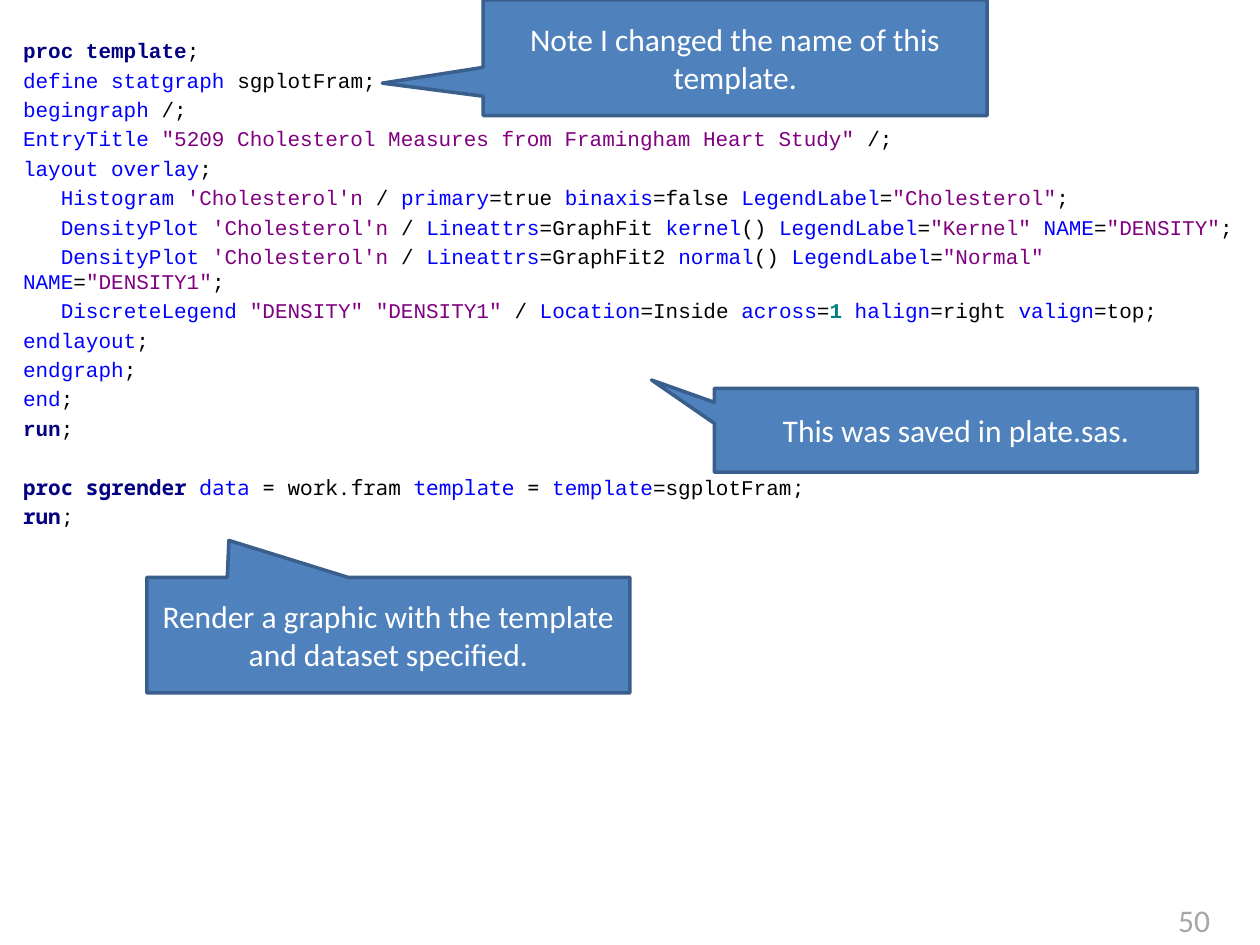
from pptx import Presentation
from pptx.dml.color import RGBColor
from pptx.enum.shapes import MSO_SHAPE
from pptx.enum.text import MSO_ANCHOR, MSO_AUTO_SIZE, PP_ALIGN
from pptx.oxml.ns import qn
from pptx.util import Cm, Pt

CALLOUT = MSO_SHAPE.RECTANGULAR_CALLOUT
MIDDLE = MSO_ANCHOR.MIDDLE
FIXED = MSO_AUTO_SIZE.NONE
CENTER = PP_ALIGN.CENTER

NAVY = RGBColor(0x00, 0x00, 0x80)
BLUE = RGBColor(0x00, 0x00, 0xFF)
PURPLE = RGBColor(0x80, 0x00, 0x80)
TEAL = RGBColor(0x00, 0x80, 0x80)
BLACK = RGBColor(0x00, 0x00, 0x00)
WHITE = RGBColor(0xFF, 0xFF, 0xFF)
GRAY = RGBColor(0xA6, 0xA6, 0xA6)
FILL = RGBColor(0x4F, 0x81, 0xBD)
EDGE = RGBColor(0x3A, 0x5F, 0x8C)

SANS, COURIER, MONO = "Calibri", "Courier New", "Noto Sans Mono"
BOLD = (NAVY, TEAL)
LINE, GAP = Pt(14.3), Pt(2.5)


def plot(fit, kind, label, name):
    return [
        (BLACK, "   "), (BLUE, "DensityPlot "), (PURPLE, "'Cholesterol'n"),
        (BLACK, " / "), (BLUE, "Lineattrs"), (BLACK, f"={fit} "),
        (BLUE, kind), (BLACK, "() "), (BLUE, "LegendLabel"), (BLACK, "="),
        (PURPLE, f'"{label}" '), (BLUE, "NAME"), (BLACK, "="),
        (PURPLE, f'"{name}"'), (BLACK, ";"),
    ]


# Each line is a list of (colour, text) parts.
DEFINE = [
    [(NAVY, "proc template"), (BLACK, ";")],
    [(BLUE, "define statgraph "), (BLACK, "sgplotFram;")],
    [(BLUE, "begingraph"), (BLACK, " /;")],
    [(BLUE, "EntryTitle "),
     (PURPLE, '"5209 Cholesterol Measures from Framingham Heart Study"'),
     (BLACK, " /;")],
    [(BLUE, "layout overlay"), (BLACK, ";")],
    [(BLACK, "   "), (BLUE, "Histogram "), (PURPLE, "'Cholesterol'n"),
     (BLACK, " / "), (BLUE, "primary"), (BLACK, "=true "),
     (BLUE, "binaxis"), (BLACK, "=false "), (BLUE, "LegendLabel"),
     (BLACK, "="), (PURPLE, '"Cholesterol"'), (BLACK, ";")],
    plot("GraphFit", "kernel", "Kernel", "DENSITY"),
    plot("GraphFit2", "normal", "Normal", "DENSITY1"),
    [(BLACK, "   "), (BLUE, "DiscreteLegend "),
     (PURPLE, '"DENSITY" "DENSITY1"'), (BLACK, " / "),
     (BLUE, "Location"), (BLACK, "=Inside "), (BLUE, "across"),
     (BLACK, "="), (TEAL, "1 "), (BLUE, "halign"), (BLACK, "=right "),
     (BLUE, "valign"), (BLACK, "=top;")],
    [(BLUE, "endlayout"), (BLACK, ";")],
    [(BLUE, "endgraph"), (BLACK, ";")],
    [(BLUE, "end"), (BLACK, ";")],
    [(NAVY, "run"), (BLACK, ";")],
]
# A third item in a part overrides the block's font.
RENDER = [
    [(NAVY, "proc sgrender "), (BLUE, "data"), (BLACK, " = work.fram "),
     (BLUE, "template"), (BLACK, " = "), (BLUE, "template", COURIER),
     (BLACK, "=sgplotFram", COURIER), (BLACK, ";")],
    [(NAVY, "run"), (BLACK, ";")],
]
# Text, (left, top, width, height) in cm, pointer offset from the centre
NOTES = [
    ("This was saved in plate.sas.",
     (14.4, 7.83, 9.74, 1.69), (-0.63, -0.6)),
    ("Render a graphic with the template and dataset specified.",
     (2.96, 11.64, 9.74, 2.33), (-0.33, -0.82)),
    ("Note I changed the name of this template.",
     (9.74, 0, 10.16, 2.33), (-0.7, 0.22)),
]
NUMBER = ("50", (23.5, 18.03, 1.9, 1.02))


def style(run, face, size, color, bold=False):
    font = run.font
    font.name, font.size, font.bold = face, Pt(size), bold
    font.color.rgb = color


def add_code(frame, lines, face, first):
    """Add coloured lines, with the given space before the first one."""
    for i, parts in enumerate(lines):
        fresh = not frame.paragraphs[0].runs
        para = frame.paragraphs[0] if fresh else frame.add_paragraph()
        para.space_before = GAP if i else first
        para.line_spacing = LINE
        props = para._p.get_or_add_pPr()
        props.set("marL", "0")
        props.set("indent", "0")
        props.append(props.makeelement(qn("a:buNone"), {}))
        for color, text, *other in parts:
            run = para.add_run()
            run.text = text
            style(run, other[0] if other else face, 12, color, color in BOLD)


def add_note(slide, text, box, tip):
    note = slide.shapes.add_shape(CALLOUT, *map(Cm, box))
    note.shadow.inherit = False
    note.adjustments[0], note.adjustments[1] = tip
    note.fill.solid()
    note.fill.fore_color.rgb = FILL
    note.line.color.rgb = EDGE
    note.line.width = Pt(2)
    frame = note.text_frame
    frame.word_wrap = True
    frame.vertical_anchor = MIDDLE
    frame.text = text
    para = frame.paragraphs[0]
    para.alignment = CENTER
    style(para.runs[0], SANS, 18, WHITE)


def main():
    prs = Presentation()
    prs.slide_width, prs.slide_height = Cm(25.4), Cm(19.05)
    slide = prs.slides.add_slide(prs.slide_layouts[1])
    title = slide.shapes.title.element
    title.getparent().remove(title)

    body = slide.placeholders[1]
    body.left, body.top = Cm(0.21), Cm(0.64)
    body.width, body.height = Cm(24.98), Cm(9.74)
    frame = body.text_frame
    frame.auto_size = FIXED
    add_code(frame, DEFINE, COURIER, GAP)
    add_code(frame, RENDER, MONO, LINE + 2 * GAP)

    for note in NOTES:
        add_note(slide, *note)

    text, box = NUMBER
    page = slide.shapes.add_textbox(*map(Cm, box)).text_frame
    page.word_wrap = True
    page.text = text
    style(page.paragraphs[0].runs[0], SANS, 18, GRAY)
    prs.save("out.pptx")


if __name__ == "__main__":
    main()
